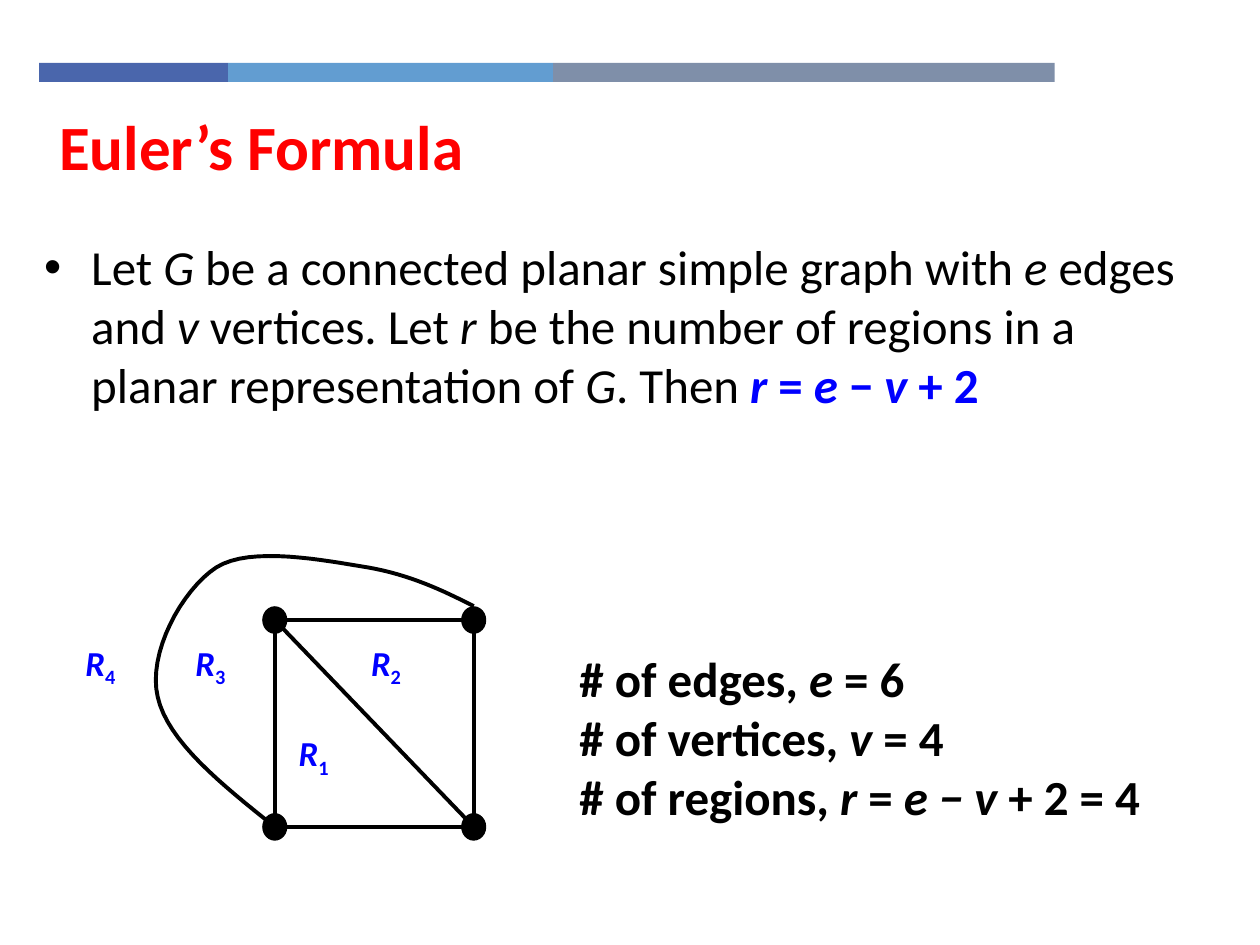
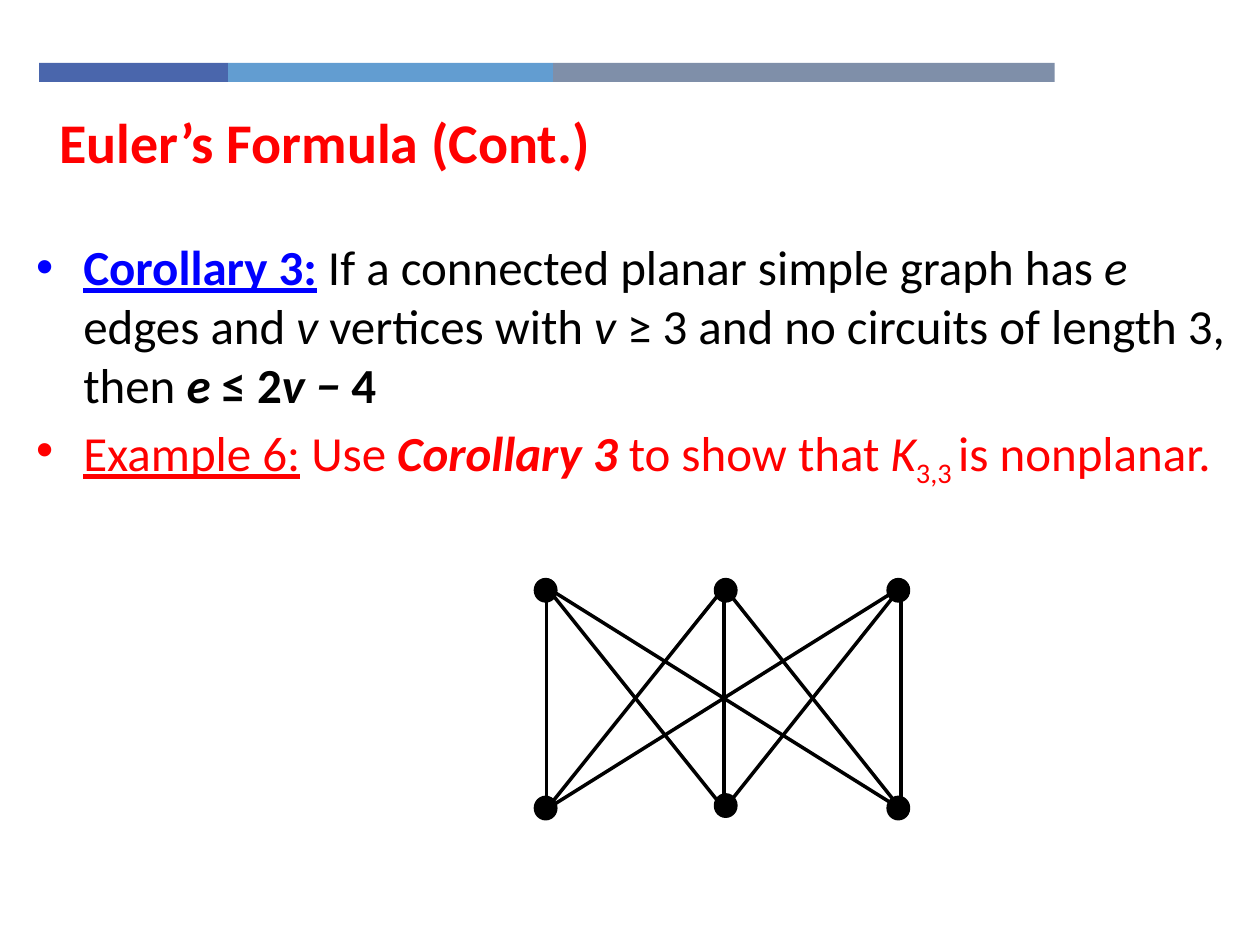
import itertools

import pptx
import pptx.dml.color
import pptx.enum.shapes
import pptx.enum.text
import pptx.oxml
import pptx.oxml.ns
import pptx.util

Cm = pptx.util.Cm
Pt = pptx.util.Pt
RGBColor = pptx.dml.color.RGBColor
Shape = pptx.enum.shapes.MSO_SHAPE

BLACK = RGBColor(0x00, 0x00, 0x00)
RED = RGBColor(0xFF, 0x00, 0x00)
BLUE = RGBColor(0x00, 0x00, 0xFF)
BANDS = (
    (0.79, 3.81, RGBColor(0x4A, 0x66, 0xAC)),
    (4.6, 6.55, RGBColor(0x62, 0x9D, 0xD1)),
    (11.15, 10.11, RGBColor(0x7F, 0x8F, 0xA9)),
)
FONT = "Calibri"
TITLE_ONLY = 5


def add_span(para, text, size=28, color=BLACK, bold=False, italic=False,
             underline=False, subscript=False):
    span = para.add_run()
    span.text = text
    font = span.font
    font.name = FONT
    font.size = Pt(size)
    font.color.rgb = color
    font.bold = bold
    font.italic = italic
    font.underline = underline
    if subscript:
        span._r.get_or_add_rPr().set("baseline", "-25000")


def add_marked(para, text, **style):
    for index, piece in enumerate(text.split("*")):
        if piece:
            add_span(para, piece, italic=index % 2 == 1, **style)


def curve_points(start, segments, steps=16):
    points = []
    for first, second, end in segments:
        for step in range(1, steps + 1):
            t = step / steps
            weights = ((1 - t) ** 3, 3 * t * (1 - t) ** 2, 3 * t * t * (1 - t), t ** 3)
            corners = (start, first, second, end)
            points.append(tuple(
                Cm(sum(weight * corner[axis] for weight, corner in zip(weights, corners)))
                for axis in (0, 1)))
        start = end
    return points


class SlideBuilder:
    def __init__(self, deck):
        self.deck = deck
        self.page = None

    def start_page(self, title, title_size):
        self.page = self.deck.slides.add_slide(self.deck.slide_layouts[TITLE_ONLY])
        for left, width, color in BANDS:
            self.shape(Shape.RECTANGLE, left, 1.27, width, 0.38, fill=color)
        box = self.page.shapes.title
        box.left, box.top, box.width, box.height = Cm(0.94), Cm(2.03), Cm(18.19), Cm(1.37)
        frame = box.text_frame
        frame.auto_size = pptx.enum.text.MSO_AUTO_SIZE.NONE
        frame.vertical_anchor = pptx.enum.text.MSO_ANCHOR.TOP
        para = frame.paragraphs[0]
        para.alignment = pptx.enum.text.PP_ALIGN.LEFT
        add_span(para, title, size=title_size, color=RED, bold=True)

    def finish(self, shape, fill=None, line=None, weight=0.75):
        shape.shadow.inherit = False
        if fill is None:
            shape.fill.background()
        else:
            shape.fill.solid()
            shape.fill.fore_color.rgb = fill
        if line is None:
            shape.line.fill.background()
        else:
            shape.line.color.rgb = line
            shape.line.width = Pt(weight)

    def shape(self, kind, left, top, width, height, **style):
        shape = self.page.shapes.add_shape(kind, Cm(left), Cm(top), Cm(width), Cm(height))
        self.finish(shape, **style)

    def vertex(self, x, y, width, height, weight):
        self.shape(Shape.OVAL, x - width / 2, y - height / 2, width, height,
                   fill=BLACK, line=BLACK, weight=weight)

    def edge(self, start, end, weight):
        edge = self.page.shapes.add_connector(
            pptx.enum.shapes.MSO_CONNECTOR.STRAIGHT,
            Cm(start[0]), Cm(start[1]), Cm(end[0]), Cm(end[1]))
        edge.line.color.rgb = BLACK
        edge.line.width = Pt(weight)
        edge._element.spPr.append(pptx.oxml.parse_xml(
            "<a:effectLst %s/>" % pptx.oxml.ns.nsdecls("a")))

    def curve(self, start, segments, weight):
        builder = self.page.shapes.build_freeform(Cm(start[0]), Cm(start[1]))
        builder.add_line_segments(curve_points(start, segments), close=False)
        self.finish(builder.convert_to_shape(), line=BLACK, weight=weight)

    def text(self, left, top, width, height, paragraphs, bullets=False, spacing=None):
        box = self.page.shapes.add_textbox(Cm(left), Cm(top), Cm(width), Cm(height))
        frame = box.text_frame
        frame.word_wrap = True
        for index, pieces in enumerate(paragraphs):
            para = frame.add_paragraph() if index else frame.paragraphs[0]
            if bullets:
                self.bullet(para)
            if spacing:
                para.line_spacing = spacing[index]
            for text, style in pieces:
                add_marked(para, text, **style)

    def bullet(self, para):
        para.space_before = Pt(5.6)
        properties = para._p.get_or_add_pPr()
        properties.set("marL", str(Cm(0.95)))
        properties.set("indent", str(-Cm(0.95)))
        for tag, attribute, value in (("buFont", "typeface", "Arial"), ("buChar", "char", "•")):
            properties.append(pptx.oxml.parse_xml('<a:%s %s %s="%s"/>' % (
                tag, pptx.oxml.ns.nsdecls("a"), attribute, value)))


def build_formula(slide):
    slide.start_page("Euler’s Formula", 36)
    slide.text(0.64, 4.65, 23.7, 4.6, [[
        ("Let *G* be a connected planar simple graph with *e* edges and *v* vertices. "
         "Let *r* be the number of regions in a planar representation of *G*. Then ", {}),
        ("*r *= *e *− *v* + 2", {"color": BLUE, "bold": True}),
    ]], bullets=True)
    counts = ("# of edges, *e* = 6", "# of vertices, *v* = 4", "# of regions, *r* = *e − v* + 2 = 4")
    slide.text(11.43, 12.95, 12.9, 3.84, [[(count, {"bold": True})] for count in counts])

    left, right, top, bottom = 5.54, 9.55, 12.5, 16.67
    slide.shape(Shape.RECTANGLE, left, top, right - left, bottom - top, line=BLACK, weight=2.25)
    slide.edge((left, top), (right, bottom), 2.25)
    for x, y in itertools.product((left, right), (top, bottom)):
        slide.vertex(x, y, 0.48, 0.53, 0.75)
    slide.curve((right, 12.22), (
        ((8.92, 11.9), (8.27, 11.59), (7.42, 11.44)),
        ((6.55, 11.3), (5.05, 11), (4.36, 11.44)),
        ((3.66, 11.9), (2.97, 13.18), (3.18, 14.05)),
        ((3.38, 14.94), (4.45, 15.8), (left, bottom)),
    ), 2.25)
    label = {"size": 20, "color": BLUE, "bold": True}
    for number, x, y in (("4", 1.47, 12.8), ("3", 3.69, 12.8), ("2", 7.23, 12.8), ("1", 5.77, 14.62)):
        slide.text(x, y, 1.4, 1.1, [[("*R*", label), (number, {**label, "subscript": True})]])


def build_corollary(slide):
    slide.start_page("Euler’s Formula (Cont.)", 32)
    red = {"color": RED}
    slide.text(0.48, 4.65, 24.77, 6.02, [
        [
            ("Corollary 3:", {"color": BLUE, "bold": True, "underline": True}),
            (" If a connected planar simple graph has *e* edges and *v* vertices "
             "with *v *≥ 3 and no circuits of length 3, then ", {}),
            ("*e* ≤ 2*v −* 4", {"bold": True}),
        ],
        [
            ("Example 6:", {**red, "underline": True}),
            (" Use ", red),
            ("*Corollary 3 *", {**red, "bold": True}),
            ("to show that *K*", red),
            ("3,3 ", {**red, "subscript": True}),
            ("is nonplanar.", red),
        ],
    ], bullets=True, spacing=(1.0, 0.9))

    columns = (11.02, 14.6, 18.16)
    for start, end in itertools.product(columns, columns):
        slide.edge((start, 11.84), (end, 16.31), 2)
    for x, lower in zip((11, 14.63, 18.11), (16.29, 16.24, 16.29)):
        for y in (11.9, lower):
            slide.vertex(x, y, 0.41, 0.43, 2)


def main():
    deck = pptx.Presentation()
    deck.slide_width, deck.slide_height = Cm(25.4), Cm(19.05)
    slide = SlideBuilder(deck)
    build_formula(slide)
    build_corollary(slide)
    deck.save("out.pptx")


if __name__ == "__main__":
    main()
